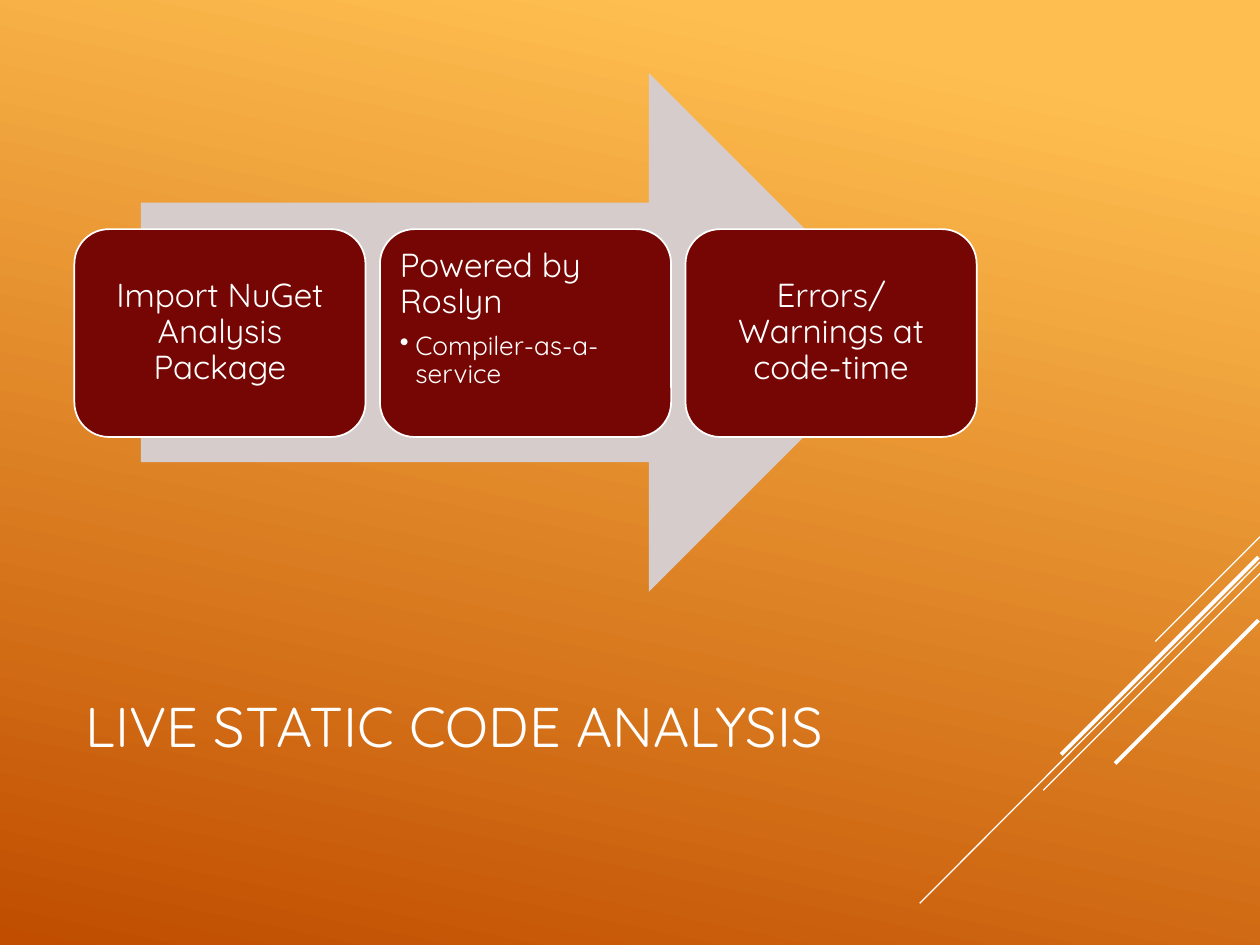
from dataclasses import dataclass

from lxml import etree
from pptx import Presentation
from pptx.dml.color import RGBColor
from pptx.enum.shapes import MSO_CONNECTOR, MSO_SHAPE
from pptx.enum.text import MSO_ANCHOR, PP_ALIGN
from pptx.oxml.ns import qn
from pptx.slide import Slide
from pptx.util import Cm, Pt

STRAIGHT = MSO_CONNECTOR.STRAIGHT
RIGHT_ARROW, ROUNDED = MSO_SHAPE.RIGHT_ARROW, MSO_SHAPE.ROUNDED_RECTANGLE
TOP, MIDDLE = MSO_ANCHOR.TOP, MSO_ANCHOR.MIDDLE
LEFT, CENTER = PP_ALIGN.LEFT, PP_ALIGN.CENTER

COLORS = {"light": "FFBF50", "dark": "C04D00", "arrow": "D6CCCC",
          "step": "760603", "white": "FFFFFF"}
FONT = "Quicksand"

STEP_LEFT, STEP_TOP, STEP_PITCH = 1.5, 4.62, 6.16
STEP_WIDTH, STEP_HEIGHT, STEP_INSET = 5.87, 4.19, 0.2
BULLET_INDENT = Cm(0.31)


@dataclass
class Stripe:
    """A diagonal line from upper right to lower left, in centimetres."""
    right: float
    top: float
    left: float
    bottom: float
    weight: float


@dataclass
class Step:
    heading: str
    bullet: str = ""


STRIPES = [
    Stripe(25.4, 10.82, 23.29, 12.93, 0.75),
    Stripe(25.4, 11.33, 18.54, 18.21, 0.75),
    Stripe(25.4, 11.56, 21.03, 15.93, 0.75),
    Stripe(25.37, 11.23, 21.39, 15.21, 2.25),
    Stripe(25.37, 12.5, 22.48, 15.39, 2.25),
]
STEPS = [
    Step("Import NuGet Analysis Package"),
    Step("Powered by Roslyn", "Compiler-as-a-service"),
    Step("Errors/Warnings at code-time"),
]


def color(name: str) -> RGBColor:
    return RGBColor.from_string(COLORS[name])


def style_font(para, size: float) -> None:
    para.font.name = FONT
    para.font.size = Pt(size)
    para.font.color.rgb = color("white")


def paint_background(slide: Slide) -> None:
    fill = slide.background.fill
    fill.gradient()
    fill.gradient_angle = 258
    for stop, position, name in zip(fill.gradient_stops, (0.1, 1), ("light", "dark")):
        stop.position = position
        stop.color.rgb = color(name)


def draw_stripe(slide: Slide, stripe: Stripe) -> None:
    line = slide.shapes.add_connector(STRAIGHT, Cm(stripe.right), Cm(stripe.top),
                                      Cm(stripe.left), Cm(stripe.bottom))
    line.line.color.rgb = color("white")
    line.line.width = Pt(stripe.weight)
    etree.SubElement(line._element.spPr, qn("a:effectLst"))


def write_title(slide: Slide, text: str) -> None:
    title = slide.shapes.title
    title.left, title.top, title.width, title.height = Cm(1.47), Cm(12.5), Cm(18.21), Cm(4.24)
    title.text_frame.text = text
    title.text_frame.vertical_anchor = MIDDLE
    para = title.text_frame.paragraphs[0]
    para.alignment = LEFT
    style_font(para, 32)


def draw_arrow(slide: Slide) -> None:
    arrow = slide.shapes.add_shape(RIGHT_ARROW, Cm(2.84), Cm(1.47), Cm(15.47), Cm(10.46))
    arrow.shadow.inherit = False
    arrow.fill.solid()
    arrow.fill.fore_color.rgb = color("arrow")
    arrow.line.fill.background()


def add_bullet(para) -> None:
    properties = para._p.get_or_add_pPr()
    properties.set("marL", str(BULLET_INDENT))
    properties.set("indent", str(-BULLET_INDENT))
    etree.SubElement(properties, qn("a:buChar"), char="•")


def draw_step(slide: Slide, index: int, step: Step) -> None:
    box = slide.shapes.add_shape(ROUNDED, Cm(STEP_LEFT + index * STEP_PITCH), Cm(STEP_TOP),
                                 Cm(STEP_WIDTH), Cm(STEP_HEIGHT))
    box.shadow.inherit = False
    box.fill.solid()
    box.fill.fore_color.rgb = color("step")
    box.line.color.rgb = color("white")
    box.line.width = Pt(1)

    frame = box.text_frame
    frame.word_wrap = True
    frame.margin_left = frame.margin_right = Cm(STEP_INSET)
    frame.margin_top = frame.margin_bottom = Cm(STEP_INSET)
    frame.vertical_anchor = TOP if step.bullet else MIDDLE
    heading = frame.paragraphs[0]
    heading.text = step.heading
    heading.alignment = LEFT if step.bullet else CENTER
    heading.line_spacing = 0.9
    heading.space_after = Pt(6.65)
    style_font(heading, 19)
    if step.bullet:
        para = frame.add_paragraph()
        para.text = step.bullet
        para.level = 1
        para.alignment = LEFT
        para.line_spacing = 0.9
        add_bullet(para)
        style_font(para, 15)


def main() -> None:
    deck = Presentation()
    deck.slide_width, deck.slide_height = Cm(25.4), Cm(19.05)
    slide = deck.slides.add_slide(deck.slide_layouts.get_by_name("Title Only"))
    paint_background(slide)
    for stripe in STRIPES:
        draw_stripe(slide, stripe)
    write_title(slide, "LIVE STATIC CODE ANALYSIS")
    draw_arrow(slide)
    for index, step in enumerate(STEPS):
        draw_step(slide, index, step)
    deck.save("out.pptx")


if __name__ == "__main__":
    main()
